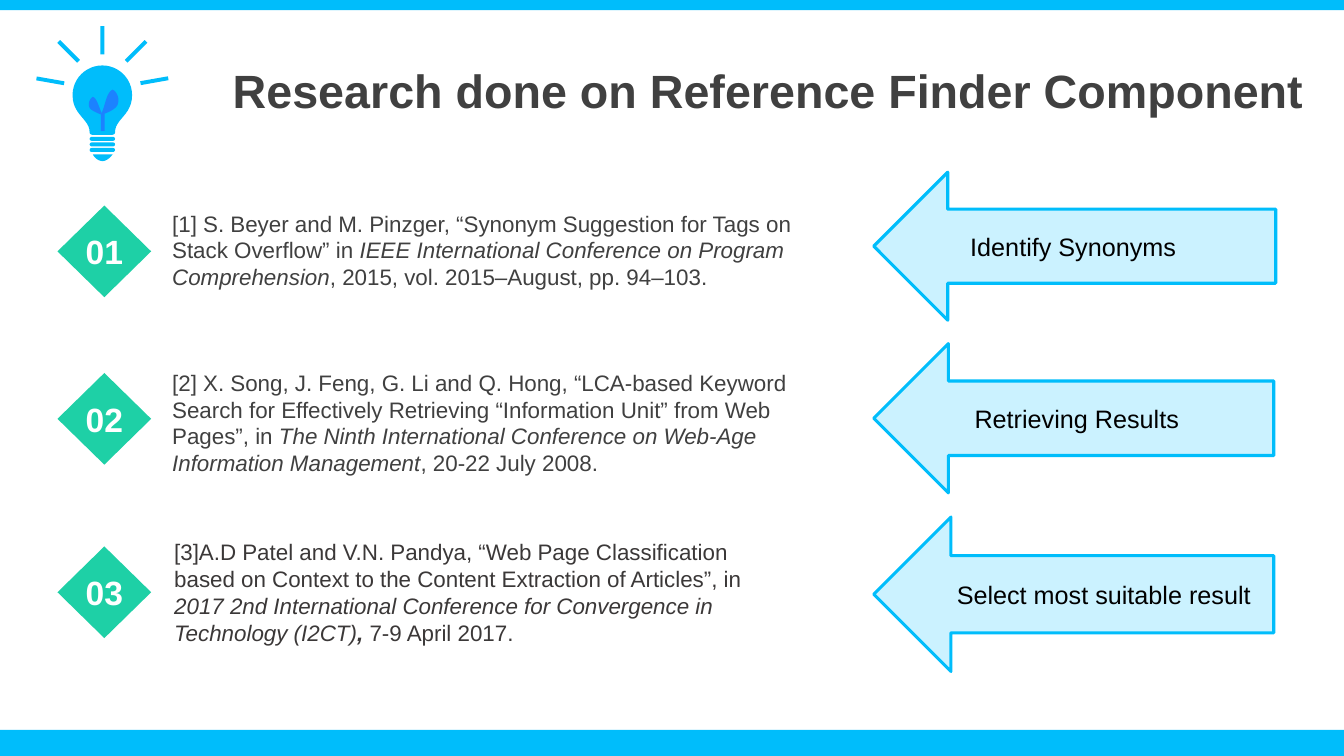
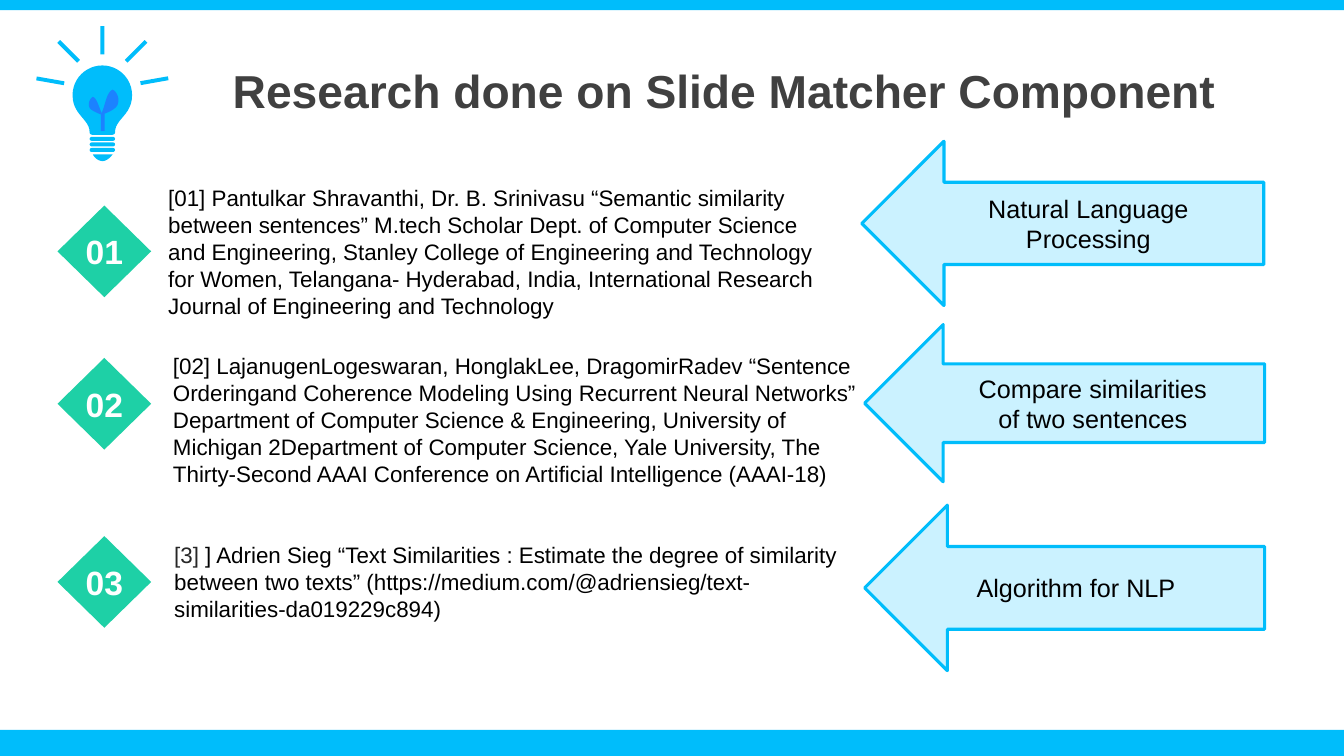
from pptx import Presentation
from pptx.dml.color import RGBColor
from pptx.enum.shapes import MSO_SHAPE as Preset
from pptx.enum.text import MSO_ANCHOR as Anchor, PP_ALIGN as Align
from pptx.util import Cm, Pt

SKY = RGBColor(0x00, 0xBD, 0xFB)
LEAF_BLUE = RGBColor(0x1C, 0x82, 0xFF)
GREEN = RGBColor(0x1E, 0xD0, 0xA6)
PALE_SKY = RGBColor(0xCB, 0xF2, 0xFF)
WHITE = RGBColor(0xFF, 0xFF, 0xFF)
BLACK = RGBColor(0x00, 0x00, 0x00)
GREY = RGBColor(0x40, 0x40, 0x40)
WARM_GREY = RGBColor(0x3B, 0x38, 0x38)
DARK_GREY = RGBColor(0x26, 0x26, 0x26)

TITLE_FONT = {"name": "Arial", "bold": True}
BADGE_FONT = {"name": "Arial", "size": Pt(24), "bold": True}
REFERENCE_FONT = {"name": "Arial", "size": Pt(16)}
TOPIC_FONT = {"name": "Arial", "size": Pt(18)}
ITALIC = {"italic": True}
BOLD_ITALIC = {"italic": True, "bold": True}

BULB_OUTLINES = [
    (SKY, (2.58, 1.65), [
        ((2.99, 1.65), (3.33, 1.98), (3.33, 2.4)),
        ((3.33, 2.9), (2.9, 3), (2.9, 3.33)),
        ((2.9, 3.38), (2.87, 3.4), (2.79, 3.4)),
        ((2.7, 3.4), (2.46, 3.4), (2.37, 3.4)),
        ((2.29, 3.4), (2.26, 3.38), (2.26, 3.33)),
        ((2.26, 3), (1.83, 2.9), (1.83, 2.4)),
        ((1.83, 1.98), (2.17, 1.65), (2.58, 1.65)),
    ]),
    (SKY, (2.84, 3.89), [
        ((2.79, 3.96), (2.69, 4.06), (2.59, 4.06)),
        ((2.49, 4.06), (2.39, 3.99), (2.34, 3.89)),
    ]),
    (LEAF_BLUE, (2.84, 2.26), [
        ((2.67, 2.34), (2.67, 2.64), (2.54, 2.9)),
        ((2.79, 2.82), (2.95, 2.72), (2.97, 2.62)),
        ((3.02, 2.49), (2.95, 2.31), (2.84, 2.26)),
    ]),
    (LEAF_BLUE, (2.34, 2.44), [
        ((2.46, 2.49), (2.49, 2.72), (2.59, 2.9)),
        ((2.41, 2.84), (2.29, 2.77), (2.26, 2.72)),
        ((2.21, 2.62), (2.26, 2.49), (2.34, 2.44)),
    ]),
]
RAYS = [(2.53, 0.66, 0), (1.68, 0.94, 135), (1.22, 1.68, 280),
        (3.38, 0.94, 45), (3.84, 1.68, 80)]
BULB_PARTS = [(Preset.RECTANGLE, SKY, (x, y, 0.1, 0.71), turn) for x, y, turn in RAYS]
BULB_PARTS += [(Preset.ROUNDED_RECTANGLE, SKY, (2.26, 3.45 + 0.14 * turn, 0.64, 0.1), 0)
               for turn in range(3)]
BULB_PARTS.append((Preset.RECTANGLE, LEAF_BLUE, (2.54, 2.87, 0.1, 0.43), 0))

SLIDES = [
    {
        "title": "Research done on Reference Finder Component",
        "title_size": Pt(33.3),
        "rows": [
            {
                "badge_top": 5.18,
                "reference_box": (4.09, 5.16, 16.33, 2.31),
                "reference": [
                    ("[1] S. Beyer and M. Pinzger, “Synonym Suggestion for Tags on "
                     "Stack Overflow” in ", GREY, {}),
                    ("IEEE International Conference on Program Comprehension", GREY, ITALIC),
                    (", 2015, vol. 2015–August, pp. 94–103.", GREY, {}),
                ],
                "arrow_box": (22.02, 4.34, 10.13, 3.73),
                "topic": "Identify Synonyms",
                "topic_format": (Align.LEFT, 1.5, 0),
            },
            {
                "badge_top": 9.4,
                "reference_box": (4.09, 9.17, 16.56, 3.07),
                "reference": [
                    ("[2] X. Song, J. Feng, G. Li and Q. Hong, “LCA-based Keyword Search for "
                     "Effectively Retrieving “Information Unit” from Web Pages”, in ", GREY, {}),
                    ("The Ninth International Conference on Web-Age Information Management",
                     GREY, ITALIC),
                    (", 20-22 July 2008.", GREY, {}),
                ],
                "arrow_box": (22.02, 8.66, 10.08, 3.76),
                "topic": "Retrieving Results",
                "topic_format": (Align.LEFT, 1.6, 0),
            },
            {
                "badge_top": 13.77,
                "reference_box": (4.14, 13.44, 15.8, 3.07),
                "reference": [
                    ("[3]A.D Patel and V.N. Pandya, “Web Page Classification based on Context "
                     "to the Content Extraction of Articles”, in ", WARM_GREY, {}),
                    ("2017 2nd International Conference for Convergence in Technology (I2CT)",
                     WARM_GREY, ITALIC),
                    (", ", WARM_GREY, BOLD_ITALIC),
                    ("7-9 April 2017.", WARM_GREY, {}),
                ],
                "arrow_box": (22.02, 13.03, 10.08, 3.89),
                "topic": "Select most suitable result",
                "topic_format": (Align.LEFT, 1.12, 0),
            },
        ],
    },
    {
        "title": "Research done on Slide Matcher Component",
        "title_size": Pt(33),
        "rows": [
            {
                "badge_top": 5.18,
                "reference_box": (3.99, 4.52, 17.09, 3.68),
                "reference": [
                    ("[01] Pantulkar Shravanthi, Dr. B. Srinivasu “Semantic similarity between "
                     "sentences” M.tech Scholar Dept. of Computer Science and Engineering, "
                     "Stanley College of Engineering and Technology for Women, Telangana- "
                     "Hyderabad, India, International Research Journal of Engineering and "
                     "Technology", BLACK, {}),
                ],
                "arrow_box": (21.72, 3.56, 10.13, 4.14),
                "topic": "Natural Language Processing",
                "topic_format": (Align.CENTER, 1.85, 1.6),
            },
            {
                "badge_top": 9.02,
                "reference_box": (4.11, 8.76, 17.93, 3.68),
                "reference": [
                    ("[02] LajanugenLogeswaran, HonglakLee, DragomirRadev “Sentence Orderingand "
                     "Coherence Modeling Using Recurrent Neural Networks” Department of Computer "
                     "Science & Engineering, University of Michigan 2Department of Computer "
                     "Science, Yale University, The Thirty-Second AAAI Conference on Artificial "
                     "Intelligence (AAAI-18)", BLACK, {}),
                ],
                "arrow_box": (21.79, 8.18, 10.08, 3.96),
                "topic": "Compare similarities of two sentences",
                "topic_format": (Align.CENTER, 1.85, 1.42),
            },
            {
                "badge_top": 13.51,
                "reference_box": (4.14, 13.51, 17.37, 2.31),
                "reference": [
                    ("[3] ", DARK_GREY, {}),
                    ("] Adrien Sieg “Text Similarities : Estimate the degree of similarity "
                     "between two texts” (https://medium.com/@adriensieg/"
                     "text-similarities-da019229c894)", BLACK, {}),
                ],
                "arrow_box": (21.79, 12.73, 10.08, 4.17),
                "topic": "Algorithm for NLP",
                "topic_format": (Align.LEFT, 1.78, 0),
            },
        ],
    },
]


def paint(shape, fill, outline=None):
    shape.shadow.inherit = False
    shape.fill.solid()
    shape.fill.fore_color.rgb = fill
    if outline is None:
        shape.line.fill.background()
    else:
        shape.line.color.rgb = outline
        shape.line.width = Pt(2.25)


def write(paragraph, text, colour, formats):
    run = paragraph.add_run()
    run.text = text
    run.font.color.rgb = colour
    for attribute, value in formats.items():
        setattr(run.font, attribute, value)


prs = Presentation()
prs.slide_width, prs.slide_height = Cm(33.87), Cm(19.05)
layout = prs.slide_layouts[5]
title_area = {"left": Cm(5.61), "top": Cm(1.37), "width": Cm(27.8), "height": Cm(1.96)}
for attribute, value in title_area.items():
    setattr(layout.placeholders[0], attribute, value)

for content in SLIDES:
    slide = prs.slides.add_slide(layout)
    title_frame = slide.shapes.title.text_frame
    title_frame.vertical_anchor = Anchor.MIDDLE
    heading = title_frame.paragraphs[0]
    heading.alignment = Align.LEFT
    heading.line_spacing = 0.9
    write(heading, content["title"], GREY, TITLE_FONT | {"size": content["title_size"]})

    bulb = slide.shapes.add_group_shape()
    for colour, start, curves in BULB_OUTLINES:
        points = [start]
        for first, second, end in curves:
            origin = points[-1]
            for step in range(1, 13):
                t = step / 12
                u = 1 - t
                points.append(tuple(
                    u**3 * a + 3 * u**2 * t * b + 3 * u * t**2 * c + t**3 * d
                    for a, b, c, d in zip(origin, first, second, end)))
        corners = [(Cm(x), Cm(y)) for x, y in points]
        builder = bulb.shapes.build_freeform(*corners[0])
        builder.add_line_segments(corners[1:], close=True)
        paint(builder.convert_to_shape(), colour)
    for preset, colour, box, turn in BULB_PARTS:
        part = bulb.shapes.add_shape(preset, *map(Cm, box))
        part.rotation = turn
        if preset == Preset.ROUNDED_RECTANGLE:
            part.adjustments[0] = 0.5
        paint(part, colour)

    for number, row in enumerate(content["rows"], 1):
        badge = slide.shapes.add_shape(
            Preset.DIAMOND, Cm(1.45), Cm(row["badge_top"]), Cm(2.36), Cm(2.31))
        paint(badge, GREEN)
        badge_frame = badge.text_frame
        badge_frame.word_wrap = False
        badge_frame.margin_left = badge_frame.margin_right = 0
        badge_frame.vertical_anchor = Anchor.MIDDLE
        badge_frame.paragraphs[0].alignment = Align.CENTER
        write(badge_frame.paragraphs[0], f"{number:02}", WHITE, BADGE_FONT)

        reference = slide.shapes.add_textbox(*map(Cm, row["reference_box"])).text_frame
        reference.word_wrap = True
        for text, colour, emphasis in row["reference"]:
            write(reference.paragraphs[0], text, colour, REFERENCE_FONT | emphasis)

        arrow = slide.shapes.add_shape(Preset.LEFT_ARROW, *map(Cm, row["arrow_box"]))
        paint(arrow, PALE_SKY, SKY)
        alignment, inset_left, inset_right = row["topic_format"]
        topic = arrow.text_frame
        topic.word_wrap = True
        topic.margin_left, topic.margin_right = Cm(inset_left), Cm(inset_right)
        topic.vertical_anchor = Anchor.MIDDLE
        topic.paragraphs[0].alignment = alignment
        write(topic.paragraphs[0], row["topic"], BLACK, TOPIC_FONT)

master_tree = prs.slide_master.shapes.element
for band_id, (top, height) in enumerate([(0, 0.26), (18.39, 0.66)], 20):
    band = slide.shapes.add_shape(
        Preset.RECTANGLE, 0, Cm(top), prs.slide_width, Cm(height))
    paint(band, SKY)
    band.element.nvSpPr.cNvPr.set("id", str(band_id))
    master_tree.insert(2, band.element)

prs.save("out.pptx")
